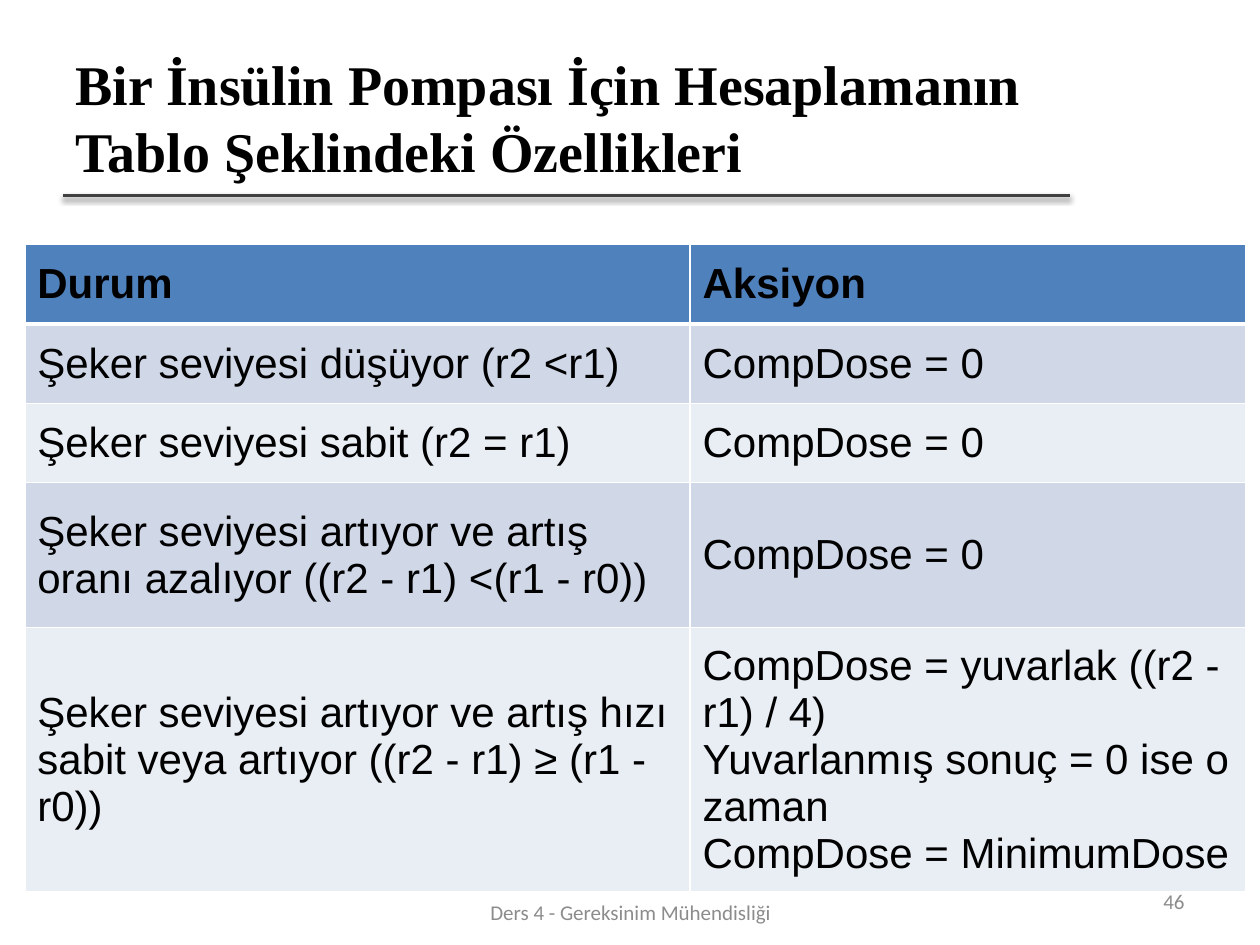
from dataclasses import dataclass

from lxml.etree import SubElement
from pptx import Presentation
from pptx.dml.color import RGBColor
from pptx.enum.shapes import MSO_CONNECTOR
from pptx.enum.text import MSO_ANCHOR, PP_ALIGN
from pptx.oxml import parse_xml
from pptx.oxml.ns import nsdecls, qn
from pptx.util import Cm, Pt


@dataclass(frozen=True)
class Theme:
    text: str = "000000"
    muted: str = "8C8C8C"
    rule: str = "404040"
    header: str = "4F81BD"
    bands: tuple = ("D0D8E8", "E9EDF4")
    border: str = "FFFFFF"
    title_size: int = 32
    table_size: int = 24
    footer_size: int = 12
    title_font: str = "Times New Roman"
    table_font: str = "Arial"
    footer_font: str = "Calibri"


def write_text(frame, text, *, font, size, color, bold=False, align=PP_ALIGN.LEFT):
    frame.word_wrap = True
    for index, line in enumerate(text.split("\n")):
        paragraph = frame.add_paragraph() if index else frame.paragraphs[0]
        paragraph.alignment = align
        run = paragraph.add_run()
        run.text = line
        run.font.name = font
        run.font.size = Pt(size)
        run.font.bold = bold
        run.font.color.rgb = RGBColor.from_string(color)


class SlideBuilder:
    def __init__(self, slide, theme):
        self.slide = slide
        self.theme = theme

    def add_text(self, text, left, top, width, height, **text_format):
        shape = self.slide.shapes.add_textbox(Cm(left), Cm(top), Cm(width), Cm(height))
        shape.text_frame.vertical_anchor = MSO_ANCHOR.MIDDLE
        write_text(shape.text_frame, text, **text_format)

    def add_title(self, text, *box):
        self.add_text(text, *box, font=self.theme.title_font, size=self.theme.title_size,
                      color=self.theme.text, bold=True)

    def add_footer(self, text, *box, align):
        self.add_text(text, *box, font=self.theme.footer_font, size=self.theme.footer_size,
                      color=self.theme.muted, align=align)

    def add_rule(self, left, right, y):
        line = self.slide.shapes.add_connector(
            MSO_CONNECTOR.STRAIGHT, Cm(left), Cm(y), Cm(right), Cm(y))
        line.line.width = Pt(2)
        line.line.color.rgb = RGBColor.from_string(self.theme.rule)
        line._element.spPr.append(parse_xml(
            f'<a:effectLst {nsdecls("a")}>'
            f'<a:outerShdw blurRad="{Pt(3.1)}" dist="{Pt(1.6)}" dir="5400000" rotWithShape="0">'
            '<a:srgbClr val="000000"><a:alpha val="38000"/></a:srgbClr>'
            '</a:outerShdw></a:effectLst>'))

    def add_borders(self, cell, widths):
        properties = cell._tc.get_or_add_tcPr()
        for index, (side, width) in enumerate(widths.items()):
            border = SubElement(properties, qn(f"a:ln{side}"), w=str(Pt(width)))
            fill = SubElement(border, qn("a:solidFill"))
            SubElement(fill, qn("a:srgbClr"), val=self.theme.border)
            properties.insert(index, border)

    def add_table(self, rows, left, top, column_widths, row_heights):
        table = self.slide.shapes.add_table(
            len(rows), len(column_widths), Cm(left), Cm(top),
            Cm(sum(column_widths)), Cm(sum(row_heights))).table
        for column, width in zip(table.columns, column_widths):
            column.width = Cm(width)
        for index, (row, height, texts) in enumerate(zip(table.rows, row_heights, rows)):
            row.height = Cm(height)
            is_header = index == 0
            color = self.theme.header if is_header else self.theme.bands[(index - 1) % 2]
            borders = {"L": 1, "R": 1, "T": 3 if index == 1 else 1, "B": 3 if is_header else 1}
            for cell, text in zip(row.cells, texts):
                cell.vertical_anchor = MSO_ANCHOR.MIDDLE
                cell.fill.solid()
                cell.fill.fore_color.rgb = RGBColor.from_string(color)
                self.add_borders(cell, borders)
                write_text(cell.text_frame, text, font=self.theme.table_font,
                           size=self.theme.table_size, color=self.theme.text, bold=is_header)


DOSE_RULES = [
    ("Durum", "Aksiyon"),
    ("Şeker seviyesi düşüyor (r2 <r1)", "CompDose = 0"),
    ("Şeker seviyesi sabit (r2 = r1)", "CompDose = 0"),
    ("Şeker seviyesi artıyor ve artış oranı azalıyor ((r2 - r1) <(r1 - r0))", "CompDose = 0"),
    ("Şeker seviyesi artıyor ve artış hızı sabit veya artıyor ((r2 - r1) ≥ (r1 - r0))",
     "CompDose = yuvarlak ((r2 - r1) / 4)\n"
     "Yuvarlanmış sonuç = 0 ise o zaman\n"
     "CompDose = MinimumDose"),
]


def main():
    presentation = Presentation()
    presentation.slide_width = Cm(25.4)
    presentation.slide_height = Cm(19.05)
    slide = presentation.slides.add_slide(presentation.slide_layouts[6])
    builder = SlideBuilder(slide, Theme())
    builder.add_rule(1.27, 21.56, 3.94)
    builder.add_title("Bir İnsülin Pompası İçin Hesaplamanın Tablo Şeklindeki Özellikleri",
                      1.27, 0.76, 20.27, 3.18)
    builder.add_table(DOSE_RULES, 0.5, 4.93, (13.41, 11.2), (1.6, 1.6, 1.6, 2.92, 4.67))
    builder.add_footer("46", 18.21, 17.65, 5.92, 1.02, align=PP_ALIGN.RIGHT)
    builder.add_footer("Ders 4 - Gereksinim Mühendisliği", 8.69, 17.88, 8.05, 1.02,
                       align=PP_ALIGN.CENTER)
    presentation.save("out.pptx")


if __name__ == "__main__":
    main()
